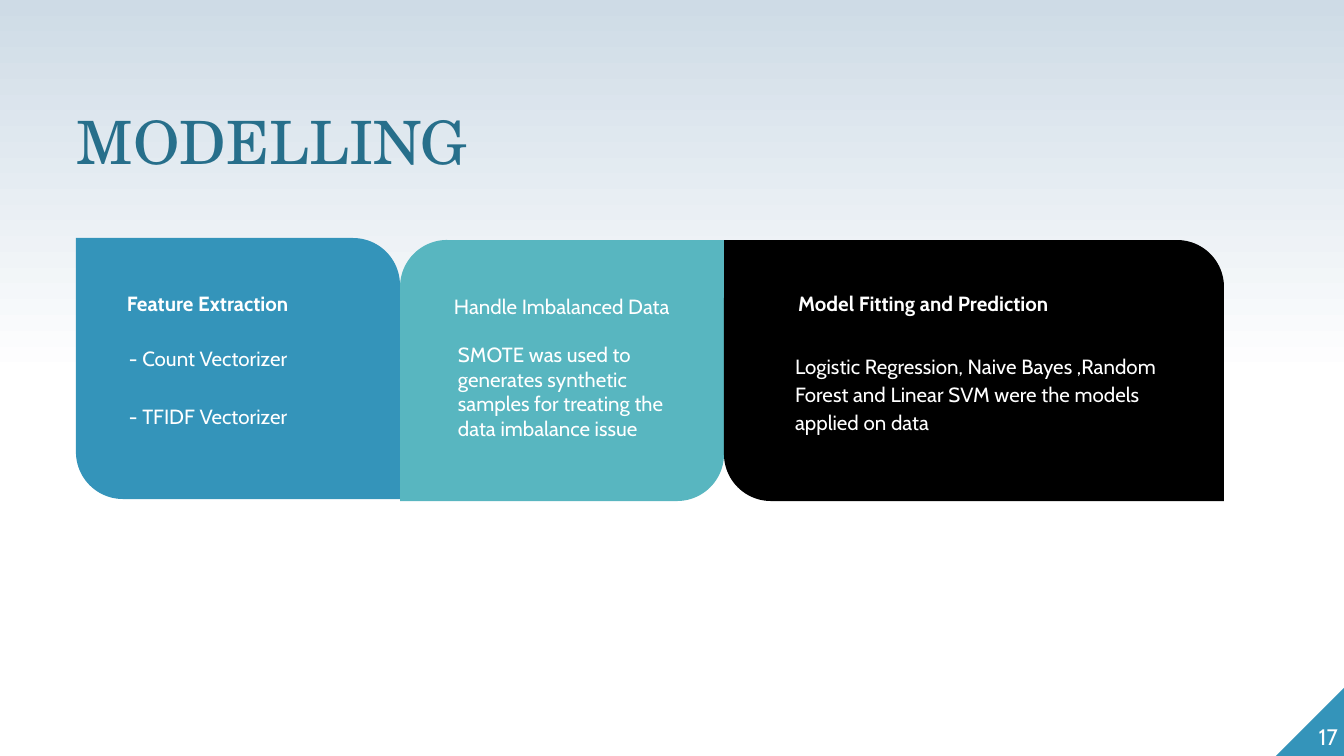
import copy
from dataclasses import dataclass

import pptx
import pptx.dml.color
import pptx.enum.shapes
import pptx.enum.text
import pptx.util

EMU_PER_PX = 914400 / 134.4
BODY_FONT = "Cabin"
TITLE_FONT = "TeX Gyre Schola"
WHITE = "FFFFFF"
BLUE = "3494BA"
SKY = "CEDBE6"
INSET = 13
ROUNDING = 0.18

Shapes = pptx.enum.shapes.MSO_SHAPE
Align = pptx.enum.text.PP_ALIGN
Anchor = pptx.enum.text.MSO_ANCHOR


@dataclass
class Area:
    left: int
    top: int
    width: int
    height: int


@dataclass
class Panel:
    top: int
    width: int
    fill: str
    rounds_top_left: bool


@dataclass
class Label:
    area: Area
    lines: list[str]
    bold: bool = False
    line_spacing: float = 1.0
    space_after: int = 0
    size: int = 11
    font: str = BODY_FONT
    colour: str = WHITE
    inset: int = INSET
    align: Align = Align.LEFT
    anchor: Anchor = Anchor.TOP


PANEL_LEFT = 76
PANEL_HEIGHT = 261
PANELS = [
    Panel(238, 324, BLUE, False),
    Panel(240, 324, "58B6C0", True),
    Panel(240, 500, "000000", False),
]

TITLE = Label(Area(77, 102, 581, 74), ["MODELLING"], line_spacing=0.8, size=32,
              font=TITLE_FONT, colour="276F8B", inset=0, anchor=Anchor.BOTTOM)

LABELS = [
    Label(Area(114, 278, 242, 50), ["Feature Extraction"], bold=True),
    Label(Area(116, 329, 242, 110), ["- Count Vectorizer", "- TFIDF Vectorizer"],
          line_spacing=1.15, space_after=16),
    Label(Area(441, 281, 242, 77), ["Handle Imbalanced Data"]),
    Label(Area(445, 329, 242, 66),
          ["SMOTE was used to generates synthetic samples for treating the "
           "data imbalance issue"]),
    Label(Area(785, 278, 402, 77), ["Model Fitting and Prediction"], bold=True),
    Label(Area(782, 337, 410, 114),
          ["Logistic Regression, Naive Bayes ,Random Forest and Linear SVM "
           "were the models applied on data"],
          line_spacing=1.15, space_after=16),
    Label(Area(1271, 681, 67, 69), ["17"], size=12, inset=0,
          align=Align.RIGHT, anchor=Anchor.BOTTOM),
]


def px(length: int) -> pptx.util.Emu:
    return pptx.util.Emu(round(length * EMU_PER_PX))


def rgb(colour: str) -> pptx.dml.color.RGBColor:
    return pptx.dml.color.RGBColor.from_string(colour)


def place(area: Area) -> tuple:
    return px(area.left), px(area.top), px(area.width), px(area.height)


def paint_background(slide) -> None:
    """White up to half height, then fading to sky blue at the top."""
    fill = slide.background.fill
    fill.gradient()
    fill.gradient_angle = 90
    first = fill.gradient_stops[0]._gs
    first.addnext(copy.deepcopy(first))
    stops = [(0, WHITE), (0.5, WHITE), (1, SKY)]
    for stop, (position, colour) in zip(fill.gradient_stops, stops):
        stop.position = position
        stop.color.rgb = rgb(colour)


def add_filled_shape(slide, kind, area: Area, colour: str):
    shape = slide.shapes.add_shape(kind, *place(area))
    shape.shadow.inherit = False
    shape.fill.solid()
    shape.fill.fore_color.rgb = rgb(colour)
    shape.line.fill.background()
    return shape


def add_corner(slide) -> None:
    corner = add_filled_shape(slide, Shapes.RIGHT_TRIANGLE, Area(1276, 688, 68, 68), BLUE)
    corner._element.spPr.xfrm.set("flipH", "1")


def add_panels(slide) -> None:
    left = PANEL_LEFT
    for panel in PANELS:
        area = Area(left, panel.top, panel.width, PANEL_HEIGHT)
        shape = add_filled_shape(slide, Shapes.ROUND_2_DIAG_RECTANGLE, area, panel.fill)
        shape.adjustments[0] = ROUNDING if panel.rounds_top_left else 0
        shape.adjustments[1] = 0 if panel.rounds_top_left else ROUNDING
        left += panel.width


def write_label(box, label: Label) -> None:
    box.left, box.top, box.width, box.height = place(label.area)
    frame = box.text_frame
    frame.word_wrap = True
    frame.auto_size = pptx.enum.text.MSO_AUTO_SIZE.NONE
    frame.vertical_anchor = label.anchor
    frame.margin_left = frame.margin_right = px(label.inset)
    frame.margin_top = frame.margin_bottom = px(label.inset)
    for index, line in enumerate(label.lines):
        para = frame.add_paragraph() if index else frame.paragraphs[0]
        para.alignment = label.align
        para.line_spacing = label.line_spacing
        para.space_before = pptx.util.Pt(0)
        para.space_after = pptx.util.Pt(label.space_after)
        span = para.add_run()
        span.text = line
        span.font.name = label.font
        span.font.size = pptx.util.Pt(label.size)
        span.font.bold = label.bold
        span.font.color.rgb = rgb(label.colour)


def main() -> None:
    deck = pptx.Presentation()
    deck.slide_width, deck.slide_height = px(1344), px(756)
    slide = deck.slides.add_slide(deck.slide_layouts[5])
    paint_background(slide)
    write_label(slide.shapes.title, TITLE)
    add_corner(slide)
    add_panels(slide)
    for label in LABELS:
        write_label(slide.shapes.add_textbox(*place(label.area)), label)
    deck.save("out.pptx")


if __name__ == "__main__":
    main()
